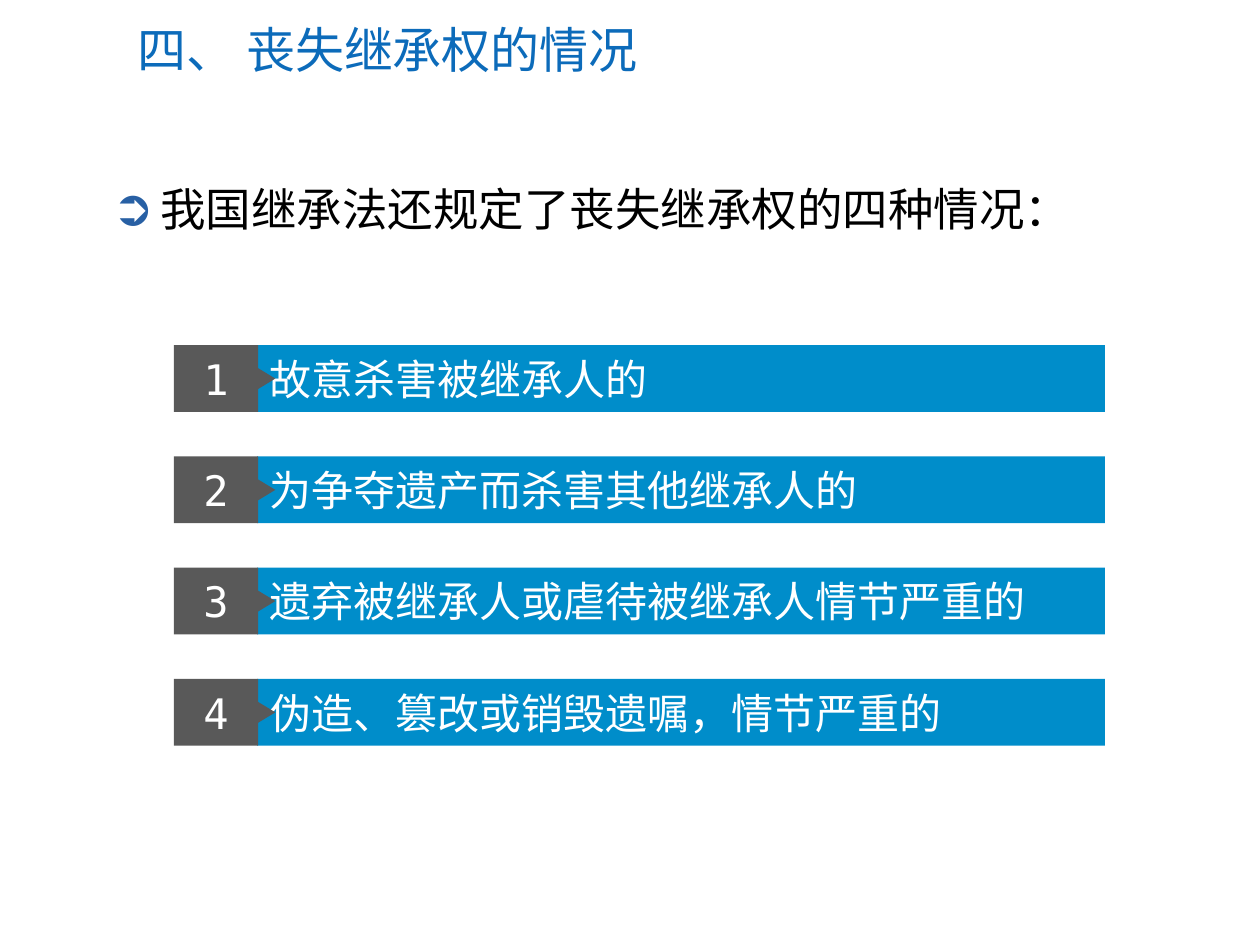
"""Build the slide on the four ways of losing the right of inheritance."""
from dataclasses import dataclass

import lxml.etree
import pptx
import pptx.dml.color
import pptx.enum.shapes
import pptx.enum.text
import pptx.oxml.ns
import pptx.util

Inches = pptx.util.Inches
Pt = pptx.util.Pt
Shape = pptx.enum.shapes.MSO_SHAPE
Align = pptx.enum.text.PP_ALIGN
Anchor = pptx.enum.text.MSO_ANCHOR

BLUE, GREY, WHITE = "008DCA", "595959", "FFFFFF"
TOP, PITCH, HEIGHT = 2.74, 0.883, 0.53


@dataclass
class Case:
    number: int
    text: str


CASES = [
    Case(1, "故意杀害被继承人的"),
    Case(2, "为争夺遗产而杀害其他继承人的"),
    Case(3, "遗弃被继承人或虐待被继承人情节严重的"),
    Case(4, "伪造、篡改或销毁遗嘱，情节严重的"),
]


def rgb(color: str) -> pptx.dml.color.RGBColor:
    return pptx.dml.color.RGBColor.from_string(color)


def set_text(sp, text: str, *, size: float, color: str, font: str = "Calibri",
             align=Align.LEFT, anchor=Anchor.MIDDLE, before: float = 0):
    tf = sp.text_frame
    tf.word_wrap = True
    tf.auto_size = pptx.enum.text.MSO_AUTO_SIZE.NONE
    tf.vertical_anchor = anchor
    p = tf.paragraphs[0]
    p.alignment = align
    p.space_before = Pt(before)
    r = p.add_run()
    r.text = text
    r.font.size = Pt(size)
    r.font.name = font
    r.font.color.rgb = rgb(color)
    return p


def place(sp, left: float, top: float, width: float, height: float) -> None:
    sp.left, sp.top = Inches(left), Inches(top)
    sp.width, sp.height = Inches(width), Inches(height)


def set_bullet(p, char: str, color: str, percent: int, indent: float) -> None:
    qn = pptx.oxml.ns.qn
    pPr = p._p.get_or_add_pPr()
    pPr.set("marL", str(Inches(indent)))
    pPr.set("indent", str(-Inches(indent)))
    clr = lxml.etree.SubElement(pPr, qn("a:buClr"))
    lxml.etree.SubElement(clr, qn("a:srgbClr"), val=color)
    lxml.etree.SubElement(pPr, qn("a:buSzPct"), val=str(percent * 1000))
    lxml.etree.SubElement(pPr, qn("a:buChar"), char=char)


def add_block(shapes, kind, left: float, top: float, width: float,
              height: float, color: str):
    sp = shapes.add_shape(kind, Inches(left), Inches(top), Inches(width), Inches(height))
    sp.shadow.inherit = False
    sp.fill.solid()
    sp.fill.fore_color.rgb = rgb(color)
    sp.line.fill.background()
    return sp


def add_case(s, case: Case, top: float) -> None:
    shapes = s.shapes.add_group_shape().shapes
    bar = add_block(shapes, Shape.RECTANGLE, 2.04, top, 6.73, HEIGHT, BLUE)
    set_text(bar, case.text, size=24, color=WHITE, before=6)
    box = add_block(shapes, Shape.RECTANGLE, 1.38, top, 0.67, HEIGHT, GREY)
    set_text(box, str(case.number), size=24, color=WHITE,
             font="DejaVu Sans Mono", align=Align.CENTER, before=6)
    pointer = add_block(shapes, Shape.ISOSCELES_TRIANGLE, 2.03,
                        top + (HEIGHT - 0.14) / 2, 0.17, 0.14, GREY)
    pointer.rotation = 90


def main() -> None:
    prs = pptx.Presentation()
    prs.slide_width, prs.slide_height = Inches(10), Inches(7.5)
    s = prs.slides.add_slide(prs.slide_layouts[1])
    title, body = s.placeholders
    place(title, 0.99, 0.1, 8.72, 0.58)
    set_text(title, "四、 丧失继承权的情况", size=28, color="0C6BBA")
    place(body, 0.79, 1.39, 8.34, 0.54)
    p = set_text(body, "我国继承法还规定了丧失继承权的四种情况：", size=26,
                 color="000000", anchor=Anchor.TOP, before=6.5)
    set_bullet(p, "➲", "2860A4", 110, 0.38)
    for i, case in enumerate(CASES):
        add_case(s, case, TOP + i * PITCH)
    prs.save("out.pptx")


if __name__ == "__main__":
    main()
